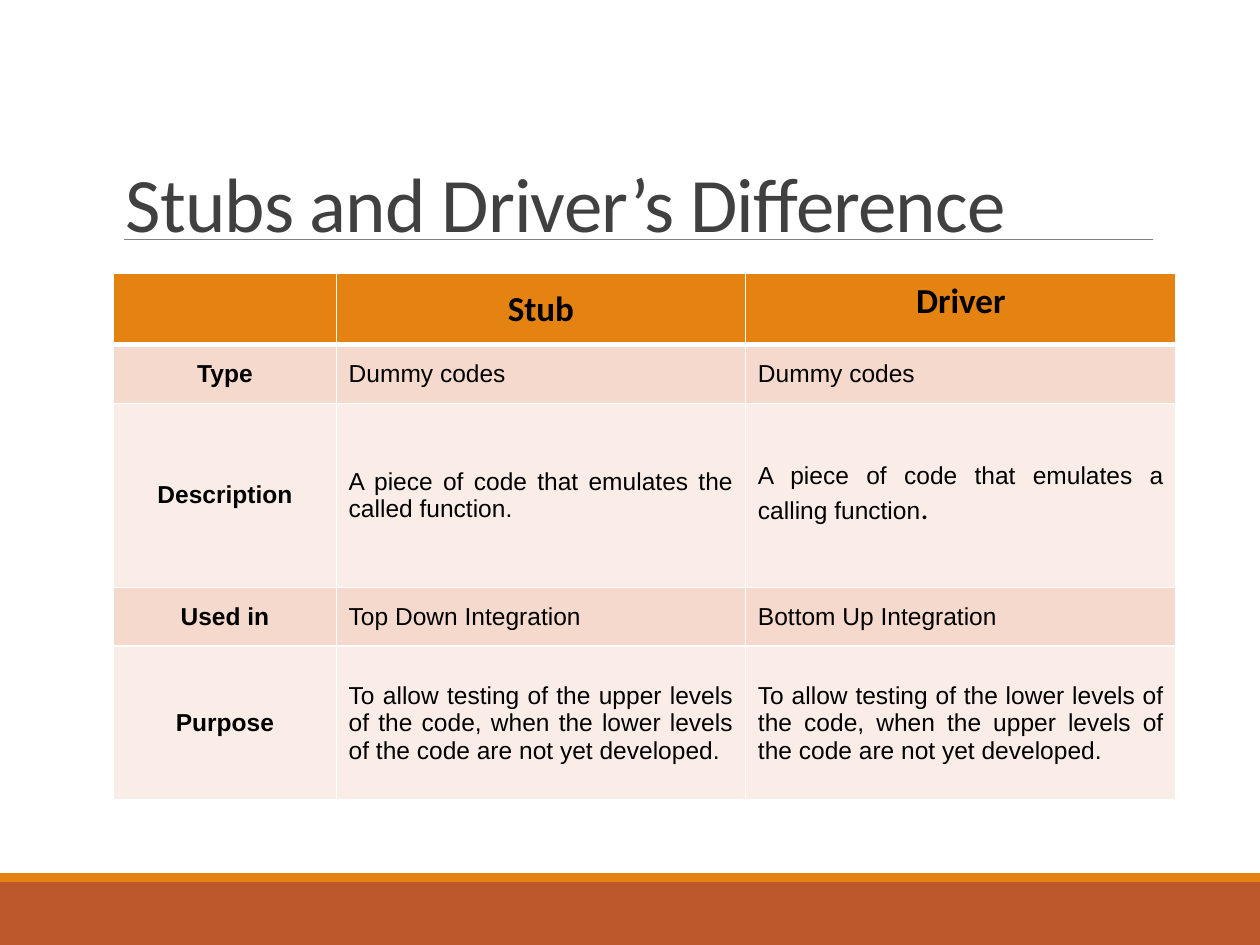
from dataclasses import dataclass

from lxml import etree
from pptx import Presentation
from pptx.dml.color import RGBColor
from pptx.enum.shapes import MSO_CONNECTOR, MSO_SHAPE
from pptx.enum.text import MSO_ANCHOR, PP_ALIGN
from pptx.oxml.ns import qn
from pptx.util import Cm, Pt

RECT = MSO_SHAPE.RECTANGLE
STRAIGHT = MSO_CONNECTOR.STRAIGHT
TOP, MIDDLE, BOTTOM = MSO_ANCHOR.TOP, MSO_ANCHOR.MIDDLE, MSO_ANCHOR.BOTTOM
LEFT, CENTER, JUSTIFY = PP_ALIGN.LEFT, PP_ALIGN.CENTER, PP_ALIGN.JUSTIFY

ORANGE, RUST, WHITE, BLACK = "E48312", "BD582C", "FFFFFF", "000000"
BANDS = ("F5D9CC", "FAEDE7")
TITLE = {"name": "Calibri", "size": Pt(44)}
HEADER = {"name": "Calibri", "size": Pt(20), "bold": True}
LABEL = {"name": "Arial", "size": Pt(14), "bold": True}
BODY = {"name": "Arial", "size": Pt(14), "bold": False}
STOP = {"name": "Calibri", "size": Pt(18), "bold": False}


@dataclass
class Bar:
    top: float
    height: float
    color: str


@dataclass
class Row:
    label: str
    stub: str
    driver: str
    height: float
    align: PP_ALIGN
    driver_end: str = ""


BARS = [Bar(17.78, 1.27, RUST), Bar(17.6, 0.18, ORANGE)]
COLUMN_WIDTHS = (4.49, 8.25, 8.68)
HEADER_HEIGHT = 1.44
ROWS = [
    Row("Type", "Dummy codes", "Dummy codes", 1.18, LEFT),
    Row("Description", "A piece of code that emulates the called function.",
        "A piece of code that emulates a calling function", 3.71, JUSTIFY, "."),
    Row("Used in", "Top Down Integration", "Bottom Up Integration", 1.18, LEFT),
    Row("Purpose",
        "To allow testing of the upper levels of the code, "
        "when the lower levels of the code are not yet developed.",
        "To allow testing of the lower levels of the code, "
        "when the upper levels of the code are not yet developed.",
        3.11, JUSTIFY),
]


def rgb(color: str) -> RGBColor:
    return RGBColor.from_string(color)


def add_run(p, text: str, style: dict, color: str = BLACK):
    r = p.add_run()
    r.text = text
    for name, value in style.items():
        setattr(r.font, name, value)
    r.font.color.rgb = rgb(color)
    return r


def add_bar(s, bar: Bar) -> None:
    sp = s.shapes.add_shape(RECT, 0, Cm(bar.top), Cm(25.4), Cm(bar.height))
    sp.shadow.inherit = False
    sp.fill.solid()
    sp.fill.fore_color.rgb = rgb(bar.color)
    sp.line.fill.background()


def add_rule(s) -> None:
    rule = s.shapes.add_connector(STRAIGHT, Cm(2.49), Cm(4.83), Cm(23.24), Cm(4.83))
    rule.line.color.rgb = rgb("808080")
    rule.line.width = Pt(0.5)
    etree.SubElement(rule._element.spPr, qn("a:effectLst"))


def add_title(s, text: str) -> None:
    sp = s.shapes.add_textbox(Cm(2.29), Cm(3.02), Cm(22.86), Cm(2.11))
    tf = sp.text_frame
    tf.word_wrap = True
    tf.vertical_anchor = BOTTOM
    p = tf.paragraphs[0]
    p.line_spacing = 0.85
    r = add_run(p, text, TITLE, "404040")
    r.font._element.set("spc", "-50")


def set_borders(cell, top: float = 1, bottom: float = 1) -> None:
    tcPr = cell._tc.get_or_add_tcPr()
    for side, width in {"L": 1, "R": 1, "T": top, "B": bottom}.items():
        ln = etree.SubElement(tcPr, qn(f"a:ln{side}"), w=str(Pt(width)))
        fill = etree.SubElement(ln, qn("a:solidFill"))
        etree.SubElement(fill, qn("a:srgbClr"), val=WHITE)


def fill_cell(cell, color: str, align: PP_ALIGN, runs: list,
              anchor: MSO_ANCHOR = MIDDLE) -> None:
    cell.fill.solid()
    cell.fill.fore_color.rgb = rgb(color)
    cell.vertical_anchor = anchor
    if anchor == MIDDLE:
        for side in ("left", "right", "top", "bottom"):
            setattr(cell, f"margin_{side}", Cm(0.25))
    p = cell.text_frame.paragraphs[0]
    p.alignment = align
    for text, style in runs:
        if text:
            add_run(p, text, style)


def add_comparison(s) -> None:
    heights = [HEADER_HEIGHT] + [row.height for row in ROWS]
    table = s.shapes.add_table(len(heights), len(COLUMN_WIDTHS), Cm(2.29), Cm(5.51),
                               Cm(sum(COLUMN_WIDTHS)), Cm(sum(heights))).table
    for column, width in zip(table.columns, COLUMN_WIDTHS):
        column.width = Cm(width)
    for table_row, height in zip(table.rows, heights):
        table_row.height = Cm(height)

    headings = (("", TOP), ("Stub", MIDDLE), ("Driver", TOP))
    for j, (text, anchor) in enumerate(headings):
        cell = table.cell(0, j)
        set_borders(cell, bottom=3)
        fill_cell(cell, ORANGE, CENTER, [(text, HEADER)], anchor)

    for i, row in enumerate(ROWS, 1):
        contents = (
            (CENTER, [(row.label, LABEL)]),
            (row.align, [(row.stub, BODY)]),
            (row.align, [(row.driver, BODY), (row.driver_end, STOP)]),
        )
        for j, (align, runs) in enumerate(contents):
            cell = table.cell(i, j)
            set_borders(cell, top=3 if i == 1 else 1)
            fill_cell(cell, BANDS[(i - 1) % 2], align, runs)


def main() -> None:
    prs = Presentation()
    prs.slide_width, prs.slide_height = Cm(25.4), Cm(19.05)
    s = prs.slides.add_slide(prs.slide_layouts[6])
    for bar in BARS:
        add_bar(s, bar)
    add_rule(s)
    add_title(s, "Stubs and Driver’s Difference")
    add_comparison(s)
    prs.save("out.pptx")


if __name__ == "__main__":
    main()
